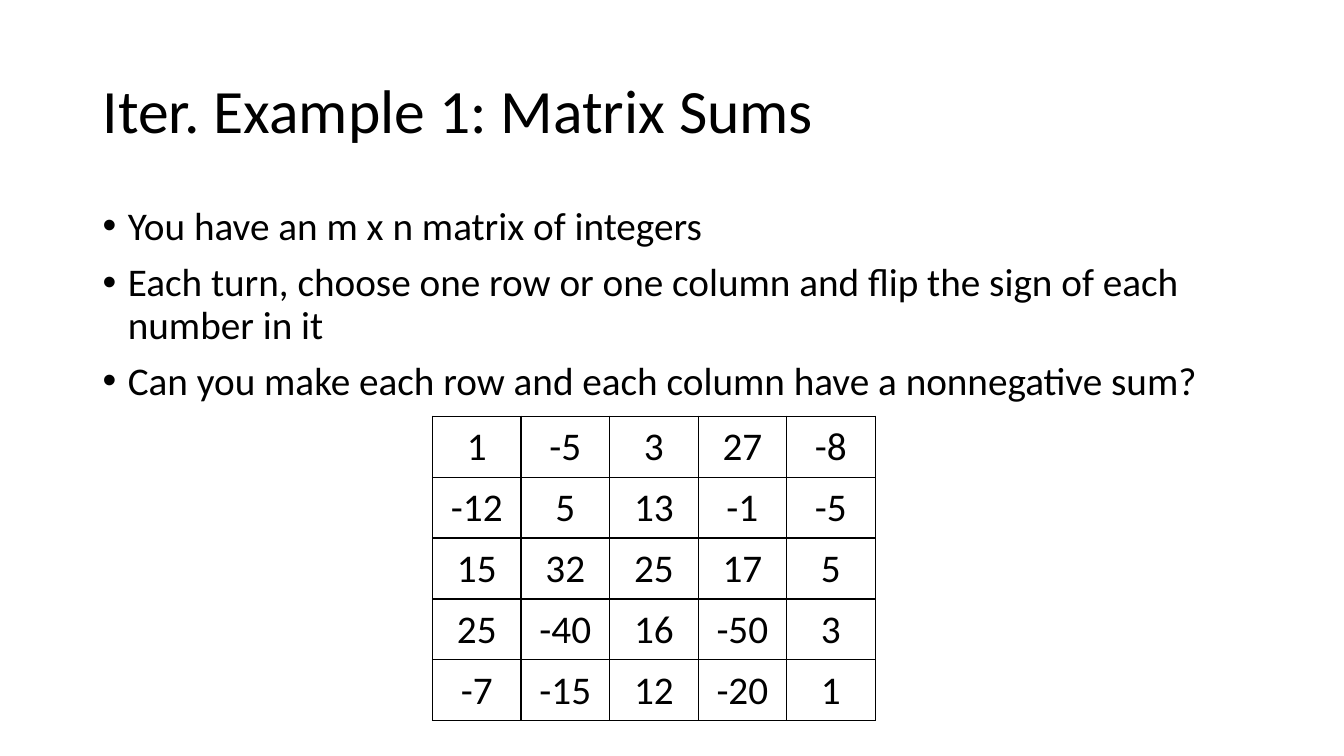
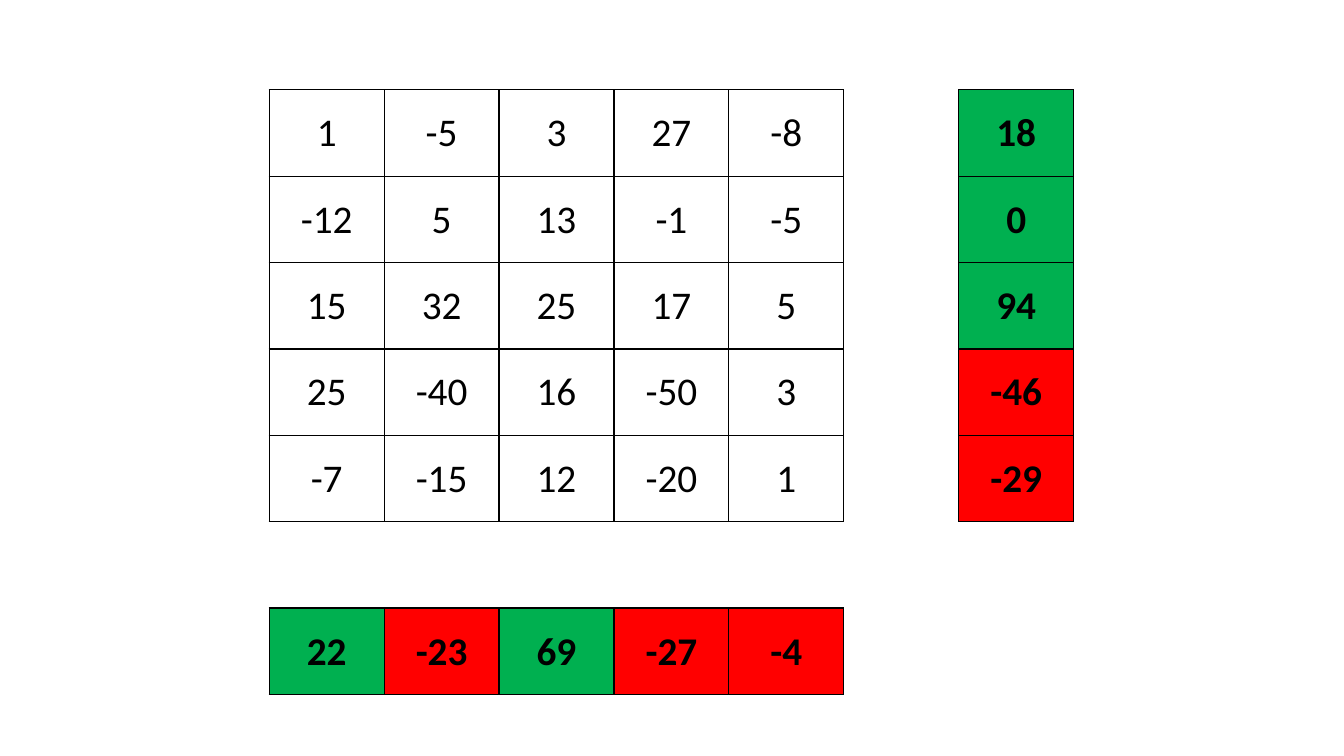
import pptx
import pptx.util
import pptx.dml.color
import pptx.enum.text
import pptx.oxml
import pptx.oxml.ns

Inches = pptx.util.Inches
Pt = pptx.util.Pt
Align = pptx.enum.text.PP_ALIGN
Anchor = pptx.enum.text.MSO_ANCHOR

BLACK = pptx.dml.color.RGBColor(0x00, 0x00, 0x00)
GREEN = pptx.dml.color.RGBColor(0x00, 0xB0, 0x50)
RED = pptx.dml.color.RGBColor(0xFF, 0x00, 0x00)
FONT = "Calibri"
TITLE = {"name": FONT, "size": Pt(44), "bold": False}
BODY = {"name": FONT, "size": Pt(28), "bold": False}
BOLD = {**BODY, "bold": True}
INSETS = {
    "margin_left": Inches(0.01),
    "margin_right": Inches(0.01),
    "margin_top": Inches(0.01),
    "margin_bottom": 0,
    "vertical_anchor": Anchor.MIDDLE,
}
SIDES = {"lnL": (0, -1), "lnR": (0, 1), "lnT": (-1, 0), "lnB": (1, 0)}

MATRIX = [
    [1, -5, 3, 27, -8],
    [-12, 5, 13, -1, -5],
    [15, 32, 25, 17, 5],
    [25, -40, 16, -50, 3],
    [-7, -15, 12, -20, 1],
]
POINTS = [
    "You have an m x n matrix of integers",
    "Each turn, choose one row or one column and flip the sign of each number in it",
    "Can you make each row and each column have a nonnegative sum?",
]


def style(item, form):
    for key, value in form.items():
        setattr(item, key, value)


def ink(para, form):
    style(para.font, form)
    para.font.color.rgb = BLACK


def add_mark(parent, tag, attrs, inner=""):
    """Append one drawing element to the XML of parent."""
    names = pptx.oxml.ns.nsdecls("a")
    parent.append(pptx.oxml.parse_xml(f"<a:{tag} {names} {attrs}>{inner}</a:{tag}>"))


def add_title(slide, text):
    title = slide.shapes.title
    style(title, {"left": Inches(0.92), "top": Inches(0.4),
                  "width": Inches(11.5), "height": Inches(1.45)})
    frame = title.text_frame
    style(frame, {"text": text, "vertical_anchor": Anchor.MIDDLE, "word_wrap": True,
                  "auto_size": pptx.enum.text.MSO_AUTO_SIZE.NONE})
    para = frame.paragraphs[0]
    style(para, {"alignment": Align.LEFT, "line_spacing": 0.9})
    ink(para, TITLE)


def add_points(slide, points):
    box = slide.shapes.add_textbox(Inches(0.92), Inches(2), Inches(11.5), Inches(4.76))
    frame = box.text_frame
    frame.word_wrap = True
    for num, text in enumerate(points):
        para = frame.add_paragraph() if num else frame.paragraphs[0]
        style(para, {"text": text, "line_spacing": 0.9, "space_before": Pt(10 if num else 0)})
        props = para._p.get_or_add_pPr()
        props.set("marL", str(Inches(0.25)))
        props.set("indent", str(Inches(-0.25)))
        add_mark(props, "buFont", 'typeface="Arial"')
        add_mark(props, "buChar", 'char="•"')
        ink(para, BODY)


def add_edge(cell, side, drawn):
    solid = f'<a:solidFill><a:srgbClr val="{str(BLACK)}"/></a:solidFill>'
    add_mark(cell._tc.get_or_add_tcPr(), side, f'w="{int(Pt(1))}"',
             solid if drawn else "<a:noFill/>")


def add_grid(slide, values, left, top, width, height, size):
    """Draw values as a table; None is an open cell, and size is where sums begin."""
    rows, cols = len(values), len(values[0])
    frame = slide.shapes.add_table(rows, cols, Inches(left), Inches(top),
                                   Inches(width), Inches(height))
    table = frame.table
    style(table, {"first_row": False, "horz_banding": False})
    for row in table.rows:
        row.height = Inches(height / rows)
    for col in table.columns:
        col.width = Inches(width / cols)

    def filled(row, col):
        return 0 <= row < rows and 0 <= col < cols and values[row][col] is not None

    for row, line in enumerate(values):
        for col, value in enumerate(line):
            cell = table.cell(row, col)
            style(cell, INSETS)
            for side, (down, right) in SIDES.items():
                add_edge(cell, side, filled(row, col) or filled(row + down, col + right))
            is_sum = value is not None and max(row, col) >= size
            if is_sum:
                cell.fill.solid()
                cell.fill.fore_color.rgb = GREEN if value >= 0 else RED
            else:
                cell.fill.background()
            if value is not None:
                cell.text = str(value)
            para = cell.text_frame.paragraphs[0]
            para.alignment = Align.CENTER
            ink(para, BOLD if is_sum else BODY)


def with_sums(matrix):
    """Add row sums and column sums, each past an open gap."""
    size = len(matrix[0])
    body = [line + [None, sum(line)] for line in matrix]
    gap = [None] * (size + 2)
    sums = [sum(col) for col in zip(*matrix)] + [None, None]
    return body + [gap, sums]


def main():
    deck = pptx.Presentation()
    style(deck, {"slide_width": Inches(13.33), "slide_height": Inches(7.5)})
    size = len(MATRIX)

    slide = deck.slides.add_slide(deck.slide_layouts[5])
    add_title(slide, "Iter. Example 1: Matrix Sums")
    add_points(slide, POINTS)
    add_grid(slide, MATRIX, 4.29, 4.13, 4.39, 3.02, size)

    slide = deck.slides.add_slide(deck.slide_layouts[6])
    add_grid(slide, with_sums(MATRIX), 2.67, 0.89, 7.98, 6, size)

    deck.save("out.pptx")


if __name__ == "__main__":
    main()
